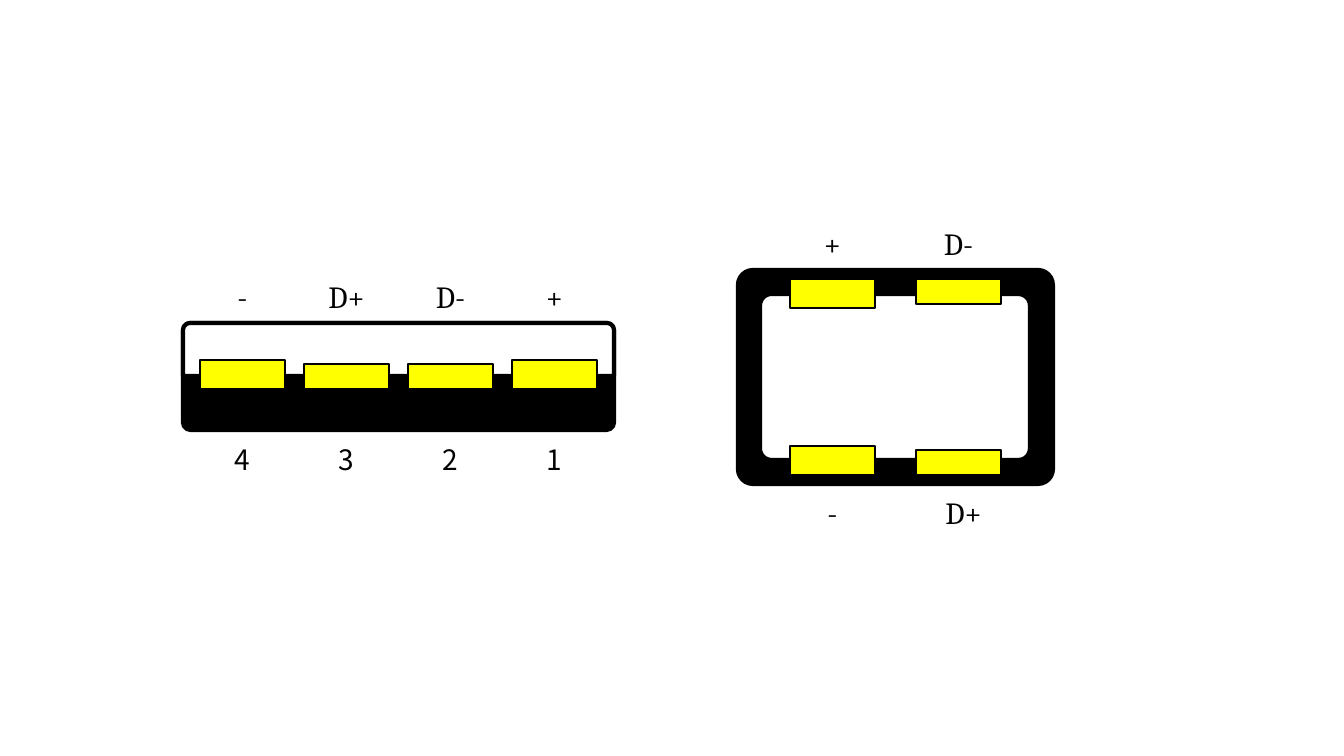
from pptx import Presentation
from pptx.dml.color import RGBColor
from pptx.enum.shapes import MSO_SHAPE
from pptx.enum.text import MSO_AUTO_SIZE, PP_ALIGN
from pptx.util import Emu, Pt

SCALE = 914400 / 100.8
BLACK, WHITE, YELLOW = "000000", "FFFFFF", "FFFF00"
CONTACT_WIDTH = 85
CONTACT_HEIGHTS = {"+": 29, "-": 29, "D+": 25, "D-": 25}
LABEL_WIDTHS = {"D+": 72, "D-": 57}
LABEL_HEIGHT = 47


def px(length):
    """Turn whole pixels into EMU."""
    return Emu(round(length * SCALE))


def color(value):
    """Turn a hex string into a colour."""
    return RGBColor.from_string(value)


def add_block(group, kind, box, fill, line_width, corner=None):
    """Draw a filled, black-edged shape in the box."""
    shape = group.shapes.add_shape(kind, *map(px, box))
    shape.shadow.inherit = False
    shape.fill.solid()
    shape.fill.fore_color.rgb = color(fill)
    shape.line.color.rgb = color(BLACK)
    shape.line.width = Pt(line_width)
    if corner is not None:
        shape.adjustments[0] = corner
    return shape


def add_label(group, text, center, top, font="Cambria", size=22):
    """Write a label centred on the given horizontal position."""
    width = LABEL_WIDTHS.get(text, 47)
    label = group.shapes.add_textbox(
        px(center - width / 2), px(top), px(width), px(LABEL_HEIGHT))
    frame = label.text_frame
    frame.text = text
    frame.word_wrap = False
    frame.auto_size = MSO_AUTO_SIZE.SHAPE_TO_FIT_TEXT
    para = frame.paragraphs[0]
    para.alignment = PP_ALIGN.CENTER
    span = para.runs[0]
    span.font.name = font
    span.font.size = Pt(size)
    span.font.color.rgb = color(BLACK)


def add_contact(group, signal, left, top):
    """Draw the contact of a signal; data contacts are shorter."""
    box = (left, top, CONTACT_WIDTH, CONTACT_HEIGHTS[signal])
    add_block(group, MSO_SHAPE.RECTANGLE, box, YELLOW, 1)


def draw_flat_plug(page, box):
    """Draw the flat plug with four contacts in a row."""
    left, top, width, height = box
    group = page.shapes.add_group_shape()
    add_block(group, MSO_SHAPE.ROUNDED_RECTANGLE, box, BLACK, 3, 0.07)
    opening = (left, top, width, height // 2)
    add_block(group, MSO_SHAPE.ROUND_2_SAME_RECTANGLE, opening, WHITE, 3, 0.13)
    signals = ["-", "D+", "D-", "+"]
    for index, signal in enumerate(signals):
        contact_left = left + 17 + 104 * index
        center = contact_left + CONTACT_WIDTH / 2
        add_contact(group, signal, contact_left, top + 66 - CONTACT_HEIGHTS[signal])
        add_label(group, signal, center, top - 50)
        add_label(group, str(len(signals) - index), center, top + 115,
                  "Noto Sans CJK SC", 20)


def draw_square_plug(page, box):
    """Draw the square plug with two contacts above and two below."""
    left, top, width, height = box
    group = page.shapes.add_group_shape()
    add_block(group, MSO_SHAPE.ROUNDED_RECTANGLE, box, BLACK, 3, 0.07)
    opening = (left + 22, top + 24, width - 45, height - 48)
    add_block(group, MSO_SHAPE.ROUNDED_RECTANGLE, opening, WHITE, 3, 0.07)
    for column, (upper, lower) in enumerate([("+", "-"), ("D-", "D+")]):
        contact_left = left + 52 + 126 * column
        center = contact_left + CONTACT_WIDTH / 2
        add_contact(group, upper, contact_left, top + 9)
        add_contact(group, lower, contact_left,
                    top + height - 9 - CONTACT_HEIGHTS[lower])
        add_label(group, upper, center, top - 50)
        add_label(group, lower, center + 5 * column, top + height + 5)


deck = Presentation()
deck.slide_width, deck.slide_height = px(1344), px(756)
page = deck.slides.add_slide(deck.slide_layouts[6])
draw_flat_plug(page, (183, 323, 431, 107))
draw_square_plug(page, (738, 270, 315, 214))
deck.save("out.pptx")
